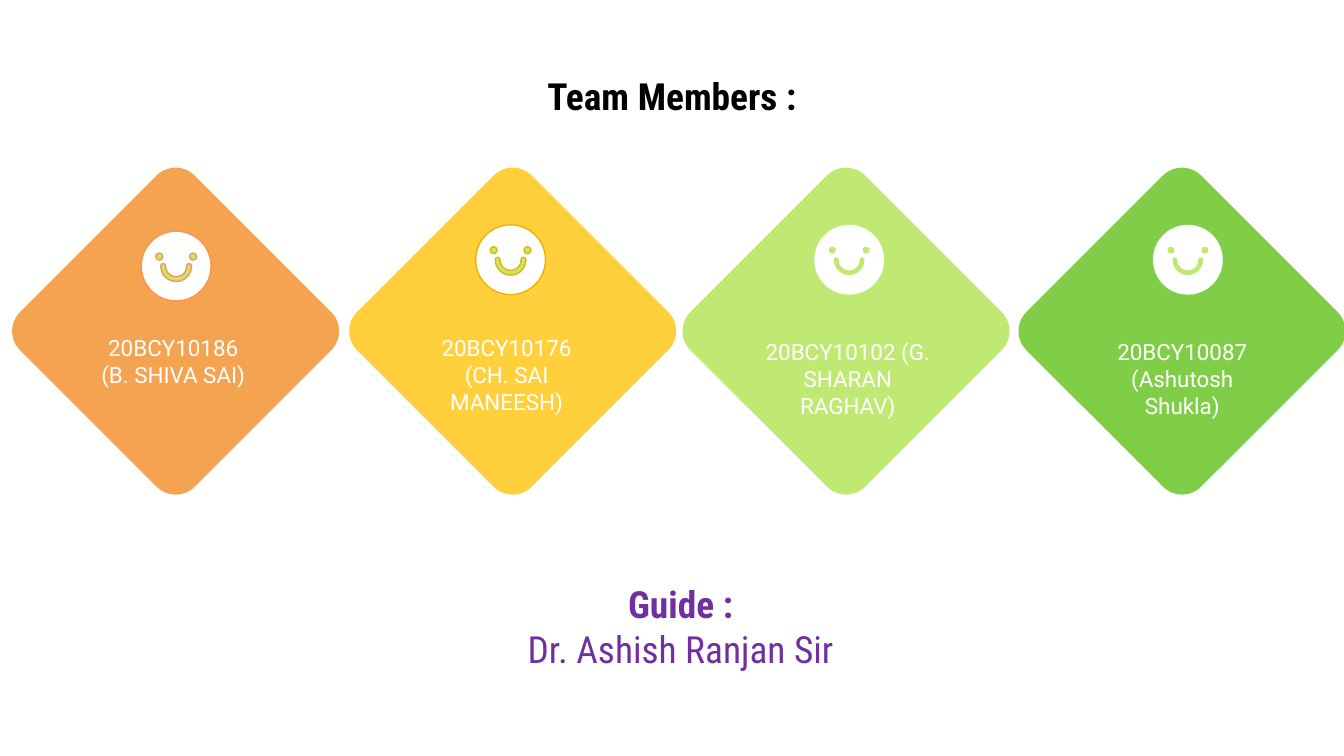
from math import cos, radians, sin

from pptx import Presentation
from pptx.dml.color import RGBColor
from pptx.enum import shapes, text
from pptx.util import Cm, Pt

BLACK = RGBColor(0x00, 0x00, 0x00)
WHITE = RGBColor(0xFF, 0xFF, 0xFF)
PURPLE = RGBColor(0x70, 0x30, 0xA0)
ORANGE = RGBColor(0xF4, 0xA3, 0x51)
CORAL = RGBColor(0xFC, 0x94, 0x51)
YELLOW = RGBColor(0xFF, 0xCF, 0x3C)
GOLD = RGBColor(0xEC, 0xB2, 0x00)
LIME = RGBColor(0xC0, 0xE9, 0x73)
GREEN = RGBColor(0x80, 0xCE, 0x47)

HEAD = "Roboto Condensed"
BODY = "Roboto"

# Lengths in cm: diamond centre x, fill, face centre, face outline, label box, label
TEAM = [
    (3.32, ORANGE, (3.33, 5.03), CORAL, (1.47, 6.07, 3.61, 1.98),
     ["20BCY10186", "(B. SHIVA SAI)"]),
    (9.69, YELLOW, (9.65, 4.91), GOLD, (7.77, 6.07, 3.61, 1.98),
     ["20BCY10176 (CH. SAI MANEESH)"]),
    (15.99, LIME, (16.05, 4.91), None, (14.22, 6.15, 3.61, 1.98),
     ["20BCY10102 (G. SHARAN RAGHAV)"]),
    (22.34, GREEN, (22.45, 4.91), None, (20.62, 6.15, 3.45, 1.98),
     ["20BCY10087 (Ashutosh Shukla)"]),
]
MID = 6.26            # centre y of the diamonds
REACH, ROUND = 2.58, 0.51   # middle to corner centre, corner radius
FACE, EYE = 0.66, 0.065     # radii
EYE_X, EYE_Y = 0.32, 0.18   # eye offsets from the face centre
OUTER, INNER = 0.29, 0.2    # mouth radii


def arc(x, y, r, start, end, steps=12):
    """Points on a circle, in degrees clockwise from the right."""
    turns = [radians(start + (end - start) * i / steps) for i in range(steps + 1)]
    return [(x + r * cos(t), y + r * sin(t)) for t in turns]


def paint(shape, fill, edge=None):
    shape.shadow.inherit = False
    shape.fill.solid()
    shape.fill.fore_color.rgb = fill
    if edge is None:
        shape.line.fill.background()
    else:
        shape.line.color.rgb = edge
        shape.line.width = Pt(0.75)


def outline(home, points, fill, edge=None):
    spots = [(Cm(x), Cm(y)) for x, y in points]
    pen = home.build_freeform(*spots[0])
    pen.add_line_segments(spots[1:], close=True)
    paint(pen.convert_to_shape(), fill, edge)


def disc(home, x, y, r, fill, edge):
    shape = home.add_shape(shapes.MSO_SHAPE.OVAL,
                           Cm(x - r), Cm(y - r), Cm(2 * r), Cm(2 * r))
    paint(shape, fill, edge)


def diamond(home, x, fill):
    points = []
    for turn in (0, 90, 180, 270):
        way = radians(turn)
        points += arc(x + REACH * cos(way), MID + REACH * sin(way),
                      ROUND, turn - 45, turn + 45)
    outline(home, points, fill)


def smile(home, x, y, edge):
    face = home.add_group_shape().shapes
    disc(face, x, y, FACE, WHITE, edge)
    cap, lip = (OUTER - INNER) / 2, (OUTER + INNER) / 2
    mouth = (arc(x, y, OUTER, 0, 180) + arc(x - lip, y, cap, 180, 360)
             + arc(x, y, INNER, 180, 0) + arc(x + lip, y, cap, 180, 360))
    outline(face, mouth, LIME, edge)
    for side in (-1, 1):
        disc(face, x + side * EYE_X, y - EYE_Y, EYE, LIME, edge)


def label(home, box, lines, font, size, ink, bold=(), anchor=text.MSO_ANCHOR.TOP):
    """Add centred lines; bold holds the numbers of the bold ones."""
    frame = home.add_textbox(*map(Cm, box)).text_frame
    frame.word_wrap = True
    frame.vertical_anchor = anchor
    frame.margin_left = frame.margin_right = Cm(0.25)
    frame.margin_top = frame.margin_bottom = Cm(0.25)
    for i, line in enumerate(lines):
        para = frame.add_paragraph() if i else frame.paragraphs[0]
        para.alignment = text.PP_ALIGN.CENTER
        run = para.add_run()
        run.text = line
        run.font.name = font
        run.font.size = Pt(size)
        run.font.bold = i in bold
        run.font.color.rgb = ink


def main():
    deck = Presentation()
    deck.slide_width, deck.slide_height = Cm(25.4), Cm(14.29)
    home = deck.slides.add_slide(deck.slide_layouts[6]).shapes

    label(home, (1.27, 1.14, 22.86, 1.6), ["Team Members :"], HEAD, 20, BLACK, (0,))
    for x, fill, spot, edge, box, lines in TEAM:
        diamond(home, x, fill)
        label(home, box, lines, BODY, 12, WHITE)
        smile(home, *spot, edge)
    label(home, (8.99, 10.95, 7.75, 1.78), ["Guide :", "Dr. Ashish Ranjan Sir"],
          HEAD, 20, PURPLE, (0,), text.MSO_ANCHOR.MIDDLE)
    deck.save("out.pptx")


if __name__ == "__main__":
    main()
